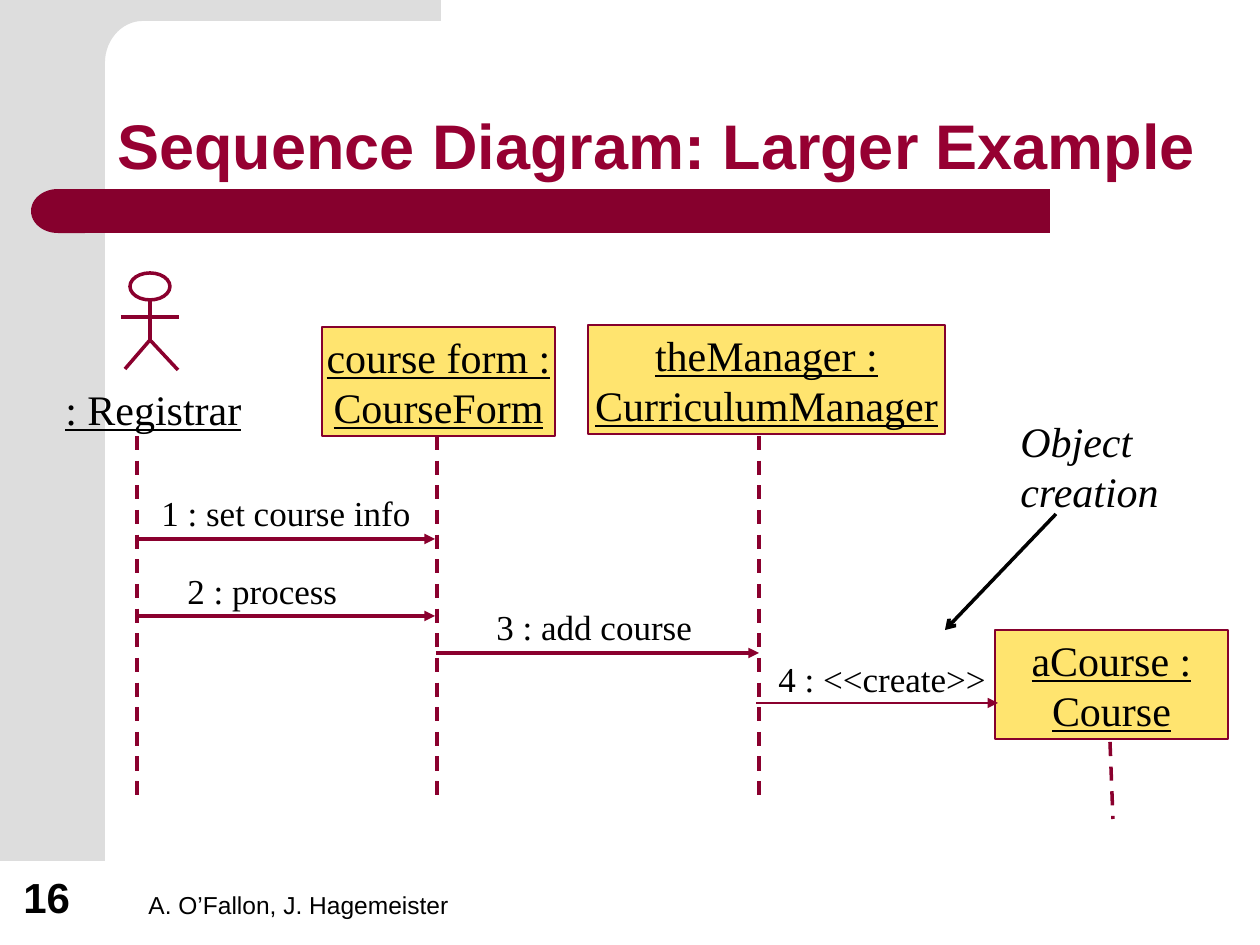
import math
from pptx import Presentation, util as u
from pptx.dml.color import RGBColor
from pptx.enum import dml, shapes, text
from pptx.oxml import parse_xml
from pptx.oxml.ns import nsdecls

PX = 914400 / 126
COLORS = {"gray": "DDDDDD", "bar": "86002D", "line": "8A002E",
          "title": "960032", "box": "FFE46F", "black": "000000"}
SERIF, SANS = "Times New Roman", "Arial"

OBJECTS = [
    ((322, 327, 233, 109), ["course form :", "CourseForm"]),
    ((588, 325, 357, 109), ["theManager :", "CurriculumManager"]),
    ((995, 630, 233, 109), ["aCourse :", "Course"]),
]
ACTOR_HEAD = (130, 273, 40, 27)
ACTOR_LIMBS = [(150, 299, 150, 341), (150, 340, 125, 369),
               (151, 341, 178, 370), (121, 317, 179, 317)]
LIFELINES = [(137, 436, 137, 800), (437, 436, 437, 800),
             (759, 436, 759, 800), (1110, 742, 1113, 819)]
MESSAGES = [
    ("1 : set course info", (149, 485, 275, 54), (137, 539, 435, 539), 2),
    ("2 : process", (175, 563, 175, 54), (138, 616, 435, 616), 2),
    ("3 : add course", (484, 599, 222, 54), (436, 653, 759, 653), 2),
    ("4 : <<create>>", (766, 651, 233, 54), (756, 703, 998, 703), 1.5),
]
LABELS = [
    ((136, 861, 473, 65), ["A. O’Fallon, J. Hagemeister"], 14, SANS, {}),
    ((11, 861, 81, 67), ["16"], 24, SANS, {"bold": True}),
    ((105, 52, 1114, 137), ["Sequence Diagram: Larger Example"], 36, SANS,
     {"bold": True, "color": "title", "spacing": 0.9}),
]
ACTOR_LABEL = ((53, 377, 202, 63), [": Registrar"])
NOTE = ((1008, 409, 165, 113), ["Object", "creation"])
NOTE_ARROW = (1056, 514, 945, 630)

prs = Presentation()
prs.slide_width, prs.slide_height = u.Inches(10), u.Inches(7.5)
s = prs.slides.add_slide(prs.slide_layouts[6])


def emu(values):
    return [round(v * PX) for v in values]


def rgb(name):
    return RGBColor.from_string(COLORS[name])


def paint(sp, fill=None, line=None, width=1):
    sp.shadow.inherit = False
    if fill:
        sp.fill.solid()
        sp.fill.fore_color.rgb = rgb(fill)
    else:
        sp.fill.background()
    if line:
        sp.line.color.rgb = rgb(line)
        sp.line.width = u.Pt(width)
    else:
        sp.line.fill.background()
    return sp


def add_shape(kind, box, **style):
    return paint(s.shapes.add_shape(kind, *emu(box)), **style)


def write(sp, lines, size, font, anchor=text.MSO_ANCHOR.TOP, wrap=False,
          color="black", align=text.PP_ALIGN.LEFT, spacing=None,
          bold=False, italic=False, underline=False):
    tf = sp.text_frame
    tf.text = "\n".join(lines)
    tf.word_wrap = wrap
    tf.vertical_anchor = anchor
    for p in tf.paragraphs:
        p.alignment = align
        p.line_spacing = spacing
        f = p.font
        f.name, f.size, f.color.rgb = font, u.Pt(size), rgb(color)
        f.bold, f.italic, f.underline = bold, italic, underline


def add_text(box, *args, **style):
    write(s.shapes.add_textbox(*emu(box)), *args, **style)


def add_line(ends, color="line", width=2, dash=False, head=None):
    c = s.shapes.add_connector(shapes.MSO_CONNECTOR.STRAIGHT, *emu(ends))
    c.line.color.rgb = rgb(color)
    c.line.width = u.Pt(width)
    if dash:
        c.line.dash_style = dml.MSO_LINE.DASH
    if head:
        c.line._get_or_add_ln().append(
            parse_xml(f'<a:tailEnd {nsdecls("a")} type="{head}"/>'))
    c._element.spPr.append(parse_xml(f'<a:effectLst {nsdecls("a")}/>'))


KIND = shapes.MSO_SHAPE
add_shape(KIND.RECTANGLE, (0, 0, 105, 861), fill="gray")
angles = [math.radians(a) for a in range(90, 181, 6)]
arc = [(143 + 38 * math.cos(a), 63 - 42 * math.sin(a)) for a in angles]
corner = s.shapes.build_freeform(*emu((441, 0)))
corner.add_line_segments(
    [emu(pt) for pt in [(441, 21), *arc, (105, 77), (63, 77), (63, 0)]])
paint(corner.convert_to_shape(), fill="gray")
add_shape(KIND.RECTANGLE, (84, 189, 966, 44), fill="bar")
cap = add_shape(KIND.FLOWCHART_DELAY, (31, 189, 54, 44), fill="bar")
cap._element.spPr.xfrm.set("flipH", "1")

for box, lines, size, font, style in LABELS:
    add_text(box, lines, size, font, anchor=text.MSO_ANCHOR.BOTTOM,
             wrap=True, **style)

for box, lines in OBJECTS:
    sp = add_shape(KIND.RECTANGLE, box, fill="box", line="bar")
    write(sp, lines, 24, SERIF, anchor=text.MSO_ANCHOR.MIDDLE,
          align=text.PP_ALIGN.CENTER, underline=True)

add_shape(KIND.OVAL, ACTOR_HEAD, line="line", width=2)
for limb in ACTOR_LIMBS:
    add_line(limb)
add_text(*ACTOR_LABEL, 24, SERIF, underline=True)

for ends in LIFELINES:
    add_line(ends, dash=True)
for label, box, ends, width in MESSAGES:
    add_line(ends, width=width, head="triangle")
    add_text(box, [label], 20, SERIF)

add_text(*NOTE, 24, SERIF, italic=True)
add_line(NOTE_ARROW, color="black", head="arrow")

prs.save("out.pptx")
